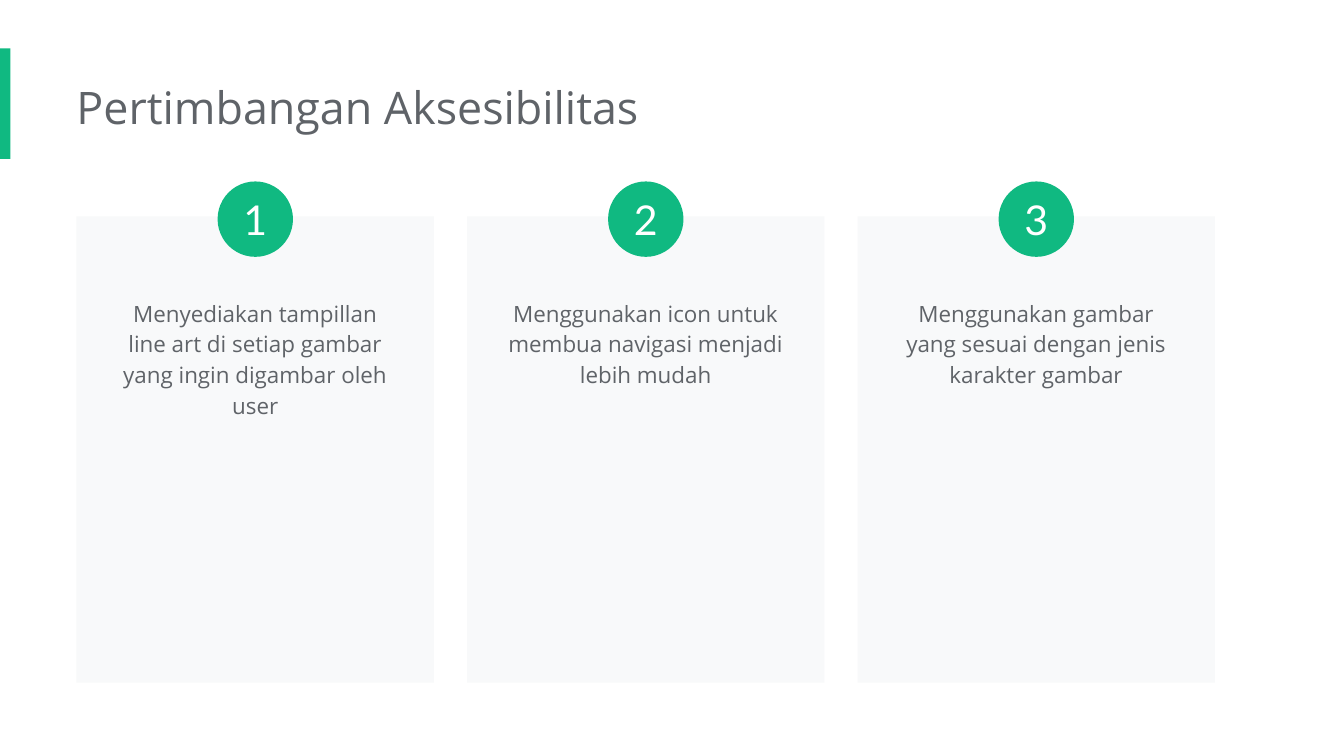
from pptx import Presentation
from pptx.dml.color import RGBColor
from pptx.enum.shapes import MSO_SHAPE
from pptx.enum.text import MSO_ANCHOR, MSO_AUTO_SIZE, PP_ALIGN
from pptx.util import Pt

COLOURS = {"accent": "10B981", "card": "F8F9FA", "text": "5F6368", "white": "FFFFFF"}
POINTS = [
    "Menyediakan tampillan line art di setiap gambar yang ingin digambar oleh user",
    "Menggunakan icon untuk membua navigasi menjadi lebih mudah",
    "Menggunakan gambar yang sesuai dengan jenis karakter gambar",
]
MARGIN, CARD_TOP, CARD_WIDTH, CARD_HEIGHT = 41, 116, 191.5, 249.8
CARD_PITCH = 209.2
BODY_TOP, BODY_WIDTH, BODY_HEIGHT = 151.2, 161.3, 81.4
BADGE_TOP, BADGE_SIZE = 97.2, 40.4


def write(frame, text, size, font="Open Sans", colour="text",
          align=PP_ALIGN.LEFT, spacing=None):
    """Put one formatted paragraph into a text frame."""
    para = frame.paragraphs[0]
    para.alignment = align
    para.line_spacing = spacing
    span = para.add_run()
    span.text = text
    span.font.size = Pt(size)
    span.font.name = font
    span.font.color.rgb = RGBColor.from_string(COLOURS[colour])


class SlideBuilder:
    """Draw styled elements on the current slide."""

    def __init__(self, page):
        self.page = page

    def shape(self, kind, left, top, width, height, colour):
        shape = self.page.shapes.add_shape(
            kind, Pt(left), Pt(top), Pt(width), Pt(height))
        shape.shadow.inherit = False
        shape.fill.solid()
        shape.fill.fore_color.rgb = RGBColor.from_string(COLOURS[colour])
        shape.line.fill.background()
        return shape

    def text(self, text, left, top, width, height, inset=7.2, **style):
        box = self.page.shapes.add_textbox(Pt(left), Pt(top), Pt(width), Pt(height))
        frame = box.text_frame
        frame.word_wrap = True
        frame.auto_size = MSO_AUTO_SIZE.SHAPE_TO_FIT_TEXT
        frame.margin_left = Pt(inset)
        frame.margin_top = frame.margin_right = frame.margin_bottom = Pt(7.2)
        write(frame, text, **style)

    def badge(self, number, centre):
        circle = self.shape(MSO_SHAPE.OVAL, centre - BADGE_SIZE / 2, BADGE_TOP,
                            BADGE_SIZE, BADGE_SIZE, "accent")
        frame = circle.text_frame
        frame.vertical_anchor = MSO_ANCHOR.MIDDLE
        frame.margin_left = frame.margin_right = Pt(0)
        frame.margin_top = frame.margin_bottom = Pt(0)
        write(frame, str(number), size=22, font="Lato", colour="white",
              align=PP_ALIGN.CENTER)

    def card(self, number, text):
        left = MARGIN + (number - 1) * CARD_PITCH
        centre = left + CARD_WIDTH / 2
        self.shape(MSO_SHAPE.RECTANGLE, left, CARD_TOP, CARD_WIDTH, CARD_HEIGHT, "card")
        self.text(text, centre - BODY_WIDTH / 2, BODY_TOP, BODY_WIDTH, BODY_HEIGHT,
                  size=12, align=PP_ALIGN.CENTER, spacing=1.15)
        self.badge(number, centre)


def main():
    deck = Presentation()
    deck.slide_width, deck.slide_height = Pt(720), Pt(405)
    builder = SlideBuilder(deck.slides.add_slide(deck.slide_layouts[6]))
    builder.shape(MSO_SHAPE.RECTANGLE, 0, 26, 5.6, 59.2, "accent")
    builder.text("Pertimbangan Aksesibilitas", MARGIN, 35.3, 551.5, 44, inset=0, size=24)
    for number, text in enumerate(POINTS, start=1):
        builder.card(number, text)
    deck.save("out.pptx")


if __name__ == "__main__":
    main()
